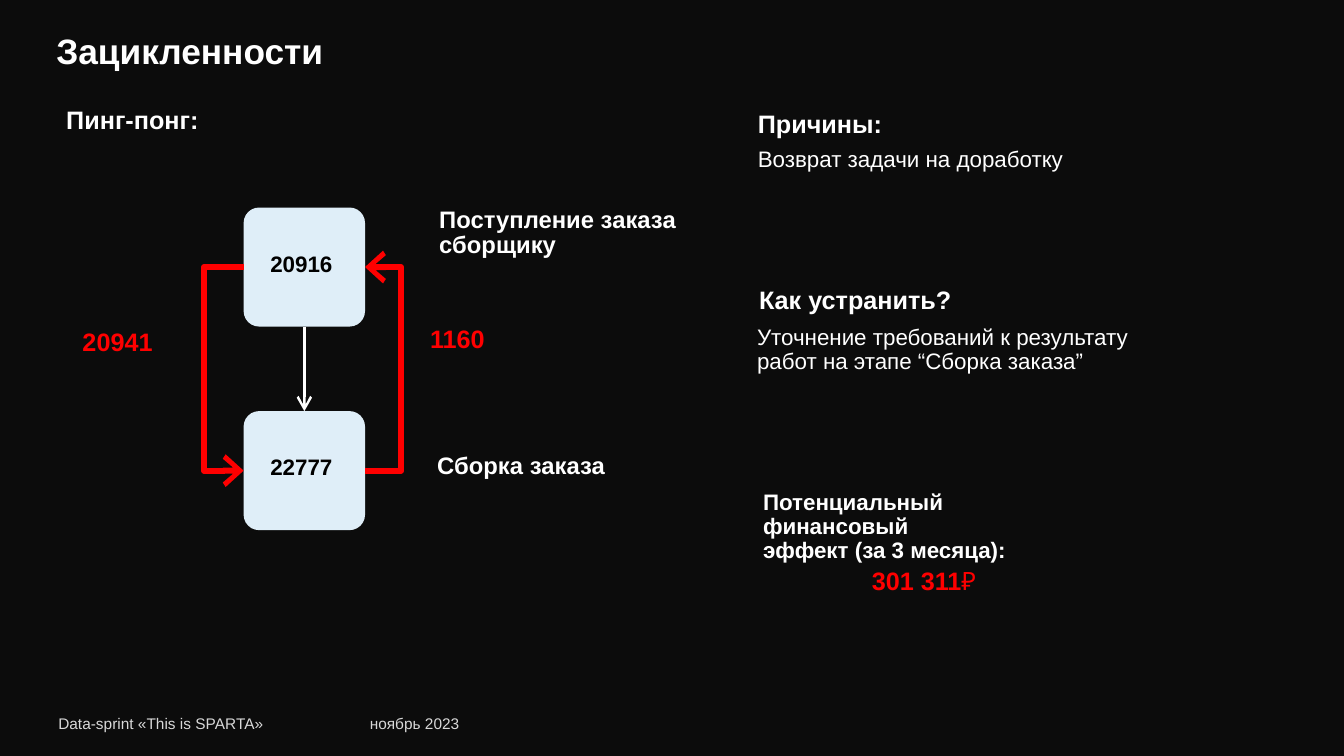
from lxml import etree
from pptx import Presentation
from pptx import util as u
from pptx.dml.color import RGBColor
from pptx.enum import shapes, text
from pptx.oxml.ns import qn

WHITE, RED, GREY = "FFFFFF", "FF0000", "D8D8D8"


def paint(code):
    return RGBColor.from_string(code)


def arrow(line, hue, width, length):
    line.line.color.rgb = paint(hue)
    line.line.width = u.Pt(width)
    tip = etree.SubElement(line.line._get_or_add_ln(), qn("a:tailEnd"))
    for key, val in {"type": "arrow", "w": "lg", "len": length}.items():
        tip.set(key, val)
    props = line._element.spPr
    if props.find(qn("a:effectLst")) is None:
        etree.SubElement(props, qn("a:effectLst"))


deck = Presentation()
deck.slide_width, deck.slide_height = u.Cm(33.87), u.Cm(19.05)
slide = deck.slides.add_slide(deck.slide_layouts[6])
slide.background.fill.solid()
slide.background.fill.fore_color.rgb = paint("0C0C0C")

left, wide, high = 6.14, 3.06, 3
tops = [5.23, 10.36]
boxes = []
for top, count in zip(tops, ["20916", "22777"]):
    box = slide.shapes.add_shape(
        shapes.MSO_SHAPE.ROUNDED_RECTANGLE,
        u.Cm(left), u.Cm(top), u.Cm(wide), u.Cm(high))
    box.adjustments[0] = 0.13
    box.shadow.inherit = False
    box.fill.solid()
    box.fill.fore_color.rgb = paint("DFEEF8")
    box.line.fill.background()
    frame = box.text_frame
    look = {"margin_left": 0, "margin_right": u.Cm(0.15),
            "margin_top": 0, "margin_bottom": u.Cm(0.2),
            "vertical_anchor": text.MSO_ANCHOR.MIDDLE}
    for key, val in look.items():
        setattr(frame, key, val)
    para = frame.paragraphs[0]
    para.alignment = text.PP_ALIGN.CENTER
    run = para.add_run()
    run.text = count
    for key, val in {"name": "Arial", "size": u.Pt(16), "bold": True}.items():
        setattr(run.font, key, val)
    run.font.color.rgb = paint("000000")
    boxes.append(box)

step = slide.shapes.add_connector(shapes.MSO_CONNECTOR.STRAIGHT, 0, 0, 0, 0)
step.begin_connect(boxes[0], 2)
step.end_connect(boxes[1], 0)
arrow(step, WHITE, 1.75, "lg")

mids = [top + high / 2 for top in tops]
for edge, turn, (start, end) in [(left, 5.14, mids), (left + wide, 10.11, mids[::-1])]:
    dots = [(round(x * 100), round(y * 100)) for x, y in
            [(edge, start), (turn, start), (turn, end), (edge, end)]]
    pen = slide.shapes.build_freeform(*dots[0], scale=u.Cm(0.01))
    pen.add_line_segments(dots[1:], close=False)
    loop = pen.convert_to_shape()
    loop.fill.background()
    loop.shadow.inherit = False
    arrow(loop, RED, 4.25, "med")

# left, top, width, height, side inset, top inset, line spacing, size, bold, colour, lines
notes = [
    (1.17, 0.94, 11.63, 0.81, 0.25, 0.13, 0.9, 25.2, True, WHITE, ["Зацикленности"]),
    (1.42, 2.46, 4.42, 1.19, 0.25, 0.25, 0.9, 18, True, WHITE, ["Пинг-понг:"]),
    (10.82, 4.98, 9.12, 1.83, 0.25, 0.25, 0.9, 17, True, WHITE,
     ["Поступление заказа сборщику"]),
    (10.77, 11.2, 9.12, 1.17, 0.25, 0.25, 0.9, 17, True, WHITE, ["Сборка заказа"]),
    (1.83, 8.05, 3.81, 1.19, 0.25, 0.25, 0.9, 18, True, RED, ["20941"]),
    (10.59, 7.98, 3.51, 1.19, 0.25, 0.25, 0.9, 18, True, RED, ["1160"]),
    (19.02, 2.74, 4.62, 0.84, 0.08, 0.08, 0.9, 18, True, WHITE, ["Причины:"]),
    (19.02, 3.66, 10.54, 0.76, 0.08, 0.08, 0.9, 16, False, WHITE,
     ["Возврат задачи на доработку"]),
    (19.05, 7.16, 7.24, 0.84, 0.08, 0.08, 0.9, 18, True, WHITE, ["Как устранить?"]),
    (19, 8.13, 10.54, 1.37, 0.08, 0.08, 0.9, 16, False, WHITE,
     ["Уточнение требований к результату работ на этапе “Сборка заказа”"]),
    (19.15, 12.29, 8.33, 1.37, 0.08, 0.08, 0.9, 16, True, WHITE,
     ["Потенциальный финансовый", "эффект (за 3 месяца):"]),
    (21.72, 14.07, 7.04, 1.19, 0.25, 0.25, 0.9, 18, True, RED, ["301 311₽"]),
    (1.22, 17.86, 5.97, 1.19, 0.25, 0.13, 1, 11, False, GREY,
     ["Data-sprint «This is SPARTA»"]),
    (9.07, 17.86, 2.87, 0.74, 0.25, 0.13, 1, 11, False, GREY, ["ноябрь 2023"]),
]
for *place, side, rim, gap, size, bold, hue, lines in notes:
    frame = slide.shapes.add_textbox(*map(u.Cm, place)).text_frame
    title = size > 20
    look = {"word_wrap": True, "margin_left": u.Cm(side), "margin_right": u.Cm(side),
            "margin_top": u.Cm(rim), "margin_bottom": u.Cm(rim),
            "vertical_anchor": text.MSO_ANCHOR.MIDDLE if title else text.MSO_ANCHOR.TOP}
    for key, val in look.items():
        setattr(frame, key, val)
    for i, line in enumerate(lines):
        para = frame.add_paragraph() if i else frame.paragraphs[0]
        para.line_spacing = gap
        for part, sign in [(line.rstrip("₽"), False), ("₽", True)]:
            if part not in line:
                continue
            run = para.add_run()
            run.text = part
            font = {"name": "Arial", "size": u.Pt(size), "bold": bold and not sign}
            for key, val in font.items():
                setattr(run.font, key, val)
            run.font.color.rgb = paint(hue)

deck.save("out.pptx")
